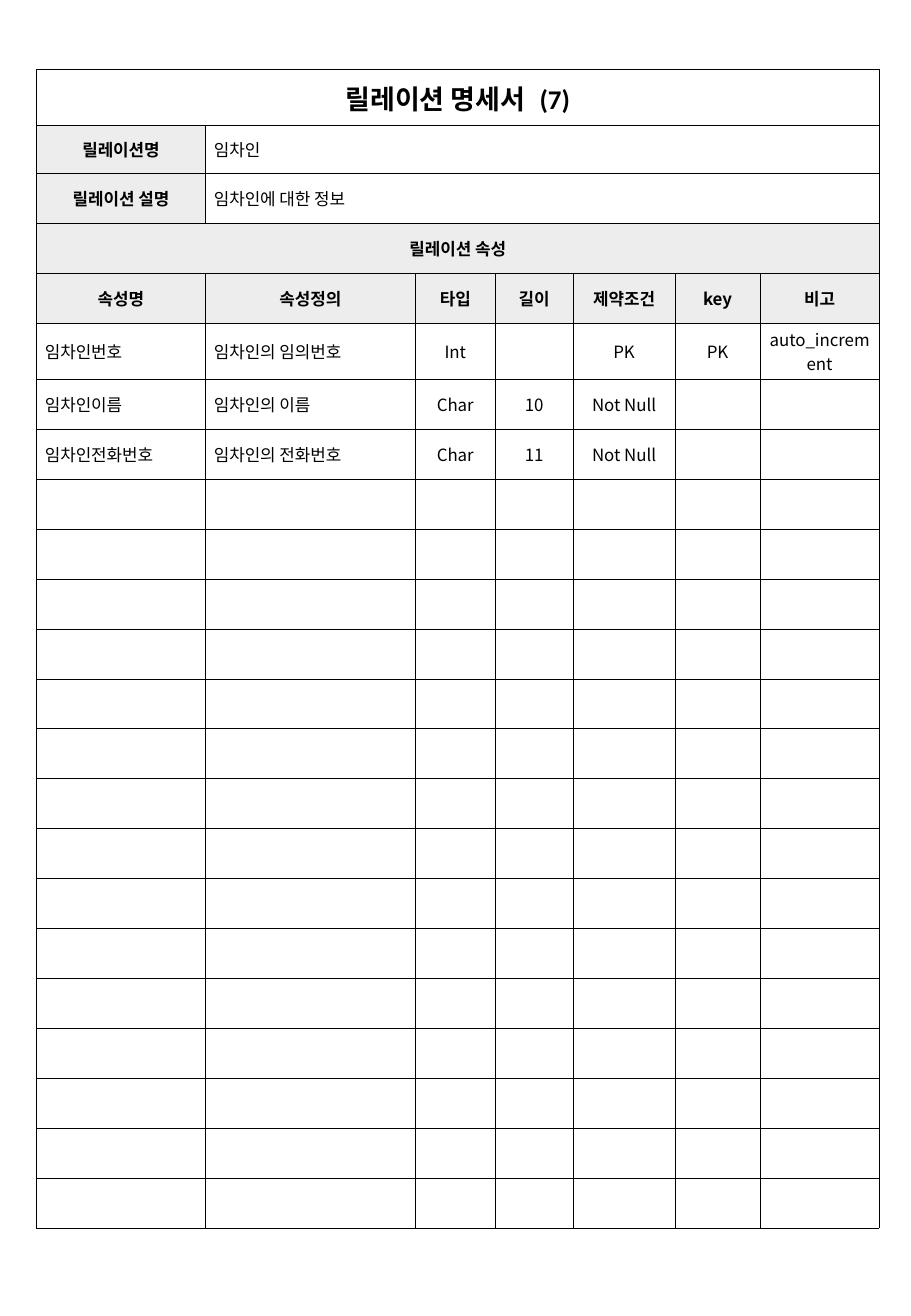
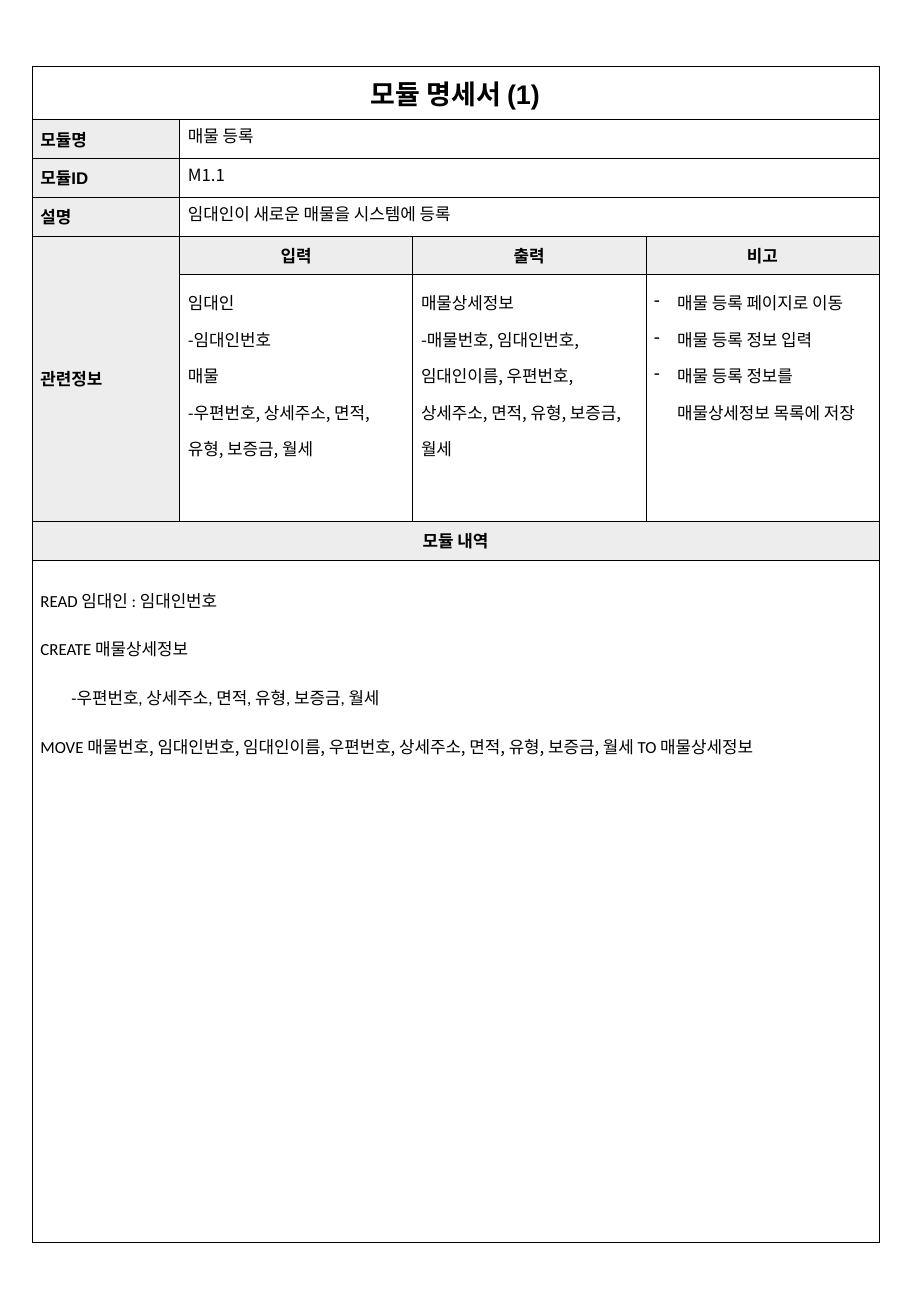
import dataclasses

import lxml.etree
import pptx
import pptx.dml.color
import pptx.enum.text
import pptx.oxml.ns
import pptx.util

Align = pptx.enum.text.PP_ALIGN
Anchor = pptx.enum.text.MSO_ANCHOR
qn = pptx.oxml.ns.qn
UNIT = 2540  # EMU in one px


@dataclasses.dataclass(frozen=True)
class Theme:
    ink: str = "000000"
    paper: str = "FFFFFF"
    shade: str = "EDEDED"
    hangul: str = "Noto Sans CJK KR"
    latin: str = "Calibri"
    label: str = "Arial"
    title: int = 16
    body: int = 10
    rule: float = 0.25
    side: int = 25
    edge: int = 11


THEME = Theme()


@dataclasses.dataclass(frozen=True)
class Style:
    font: str = THEME.hangul
    size: int = THEME.body
    bold: bool = False
    fill: str = THEME.paper
    align: Align = Align.LEFT
    anchor: Anchor = Anchor.MIDDLE
    lead: float = 1.0


PLAIN = Style()
MID = Style(align=Align.CENTER)
HEAD = Style(bold=True, fill=THEME.shade, align=Align.CENTER)
TOP = Style(anchor=Anchor.TOP)
NOTE = dataclasses.replace(TOP, lead=1.5)
CODE = dataclasses.replace(TOP, font=THEME.latin, lead=2.0)
SIDE = Style(font=THEME.label, bold=True, fill=THEME.shade)
BAND = dataclasses.replace(SIDE, align=Align.CENTER)
TITLE = Style(font=THEME.latin, size=THEME.title, bold=True, align=Align.CENTER)


@dataclasses.dataclass(frozen=True)
class Run:
    text: str
    font: str = ""
    gap: int = 0


@dataclasses.dataclass(frozen=True)
class Para:
    runs: tuple
    left: int = 0
    mark: str = ""


def px(count):
    return pptx.util.Emu(count * UNIT)


def rgb(code):
    return pptx.dml.color.RGBColor.from_string(code)


def node(parent, tag, **attrs):
    return lxml.etree.SubElement(parent, qn(tag), attrs)


def assign(target, values):
    for name, value in values.items():
        setattr(target, name, value)


def frame(cell, fill):
    """Rule all four sides of a cell, then fill it."""
    props = cell._tc.get_or_add_tcPr()
    for tag in ("a:lnL", "a:lnR", "a:lnT", "a:lnB"):
        line = node(props, tag, w=str(pptx.util.Pt(THEME.rule)))
        node(node(line, "a:solidFill"), "a:srgbClr", val=THEME.ink)
    cell.fill.solid()
    cell.fill.fore_color.rgb = rgb(fill)


def grid(slide, box, cols, rows):
    """Add an empty ruled table with its top left corner at box."""
    left, top = box
    area = (left, top, sum(cols), sum(rows))
    shape = slide.shapes.add_table(len(rows), len(cols), *map(px, area))
    table = shape.table
    assign(table, {"first_row": False, "horz_banding": False})
    for col, width in zip(table.columns, cols):
        col.width = px(width)
    for row, height in zip(table.rows, rows):
        row.height = px(height)
    for cell in table.iter_cells():
        assign(cell, {
            "margin_left": px(THEME.side), "margin_right": px(THEME.side),
            "margin_top": px(THEME.edge), "margin_bottom": px(THEME.edge),
        })
        frame(cell, THEME.paper)
        para = cell.text_frame.paragraphs[0]._p
        node(para, "a:endParaRPr", sz=str(THEME.body * 100))
    return table


def write(para, run, style):
    part = para.add_run()
    part.text = run.text
    part.font.color.rgb = rgb(THEME.ink)
    assign(part.font, {
        "size": pptx.util.Pt(style.size),
        "bold": style.bold,
        "name": run.font or style.font,
    })
    props = part._r.get_or_add_rPr()
    node(props, "a:ea", typeface=THEME.hangul)
    if run.gap:
        props.set("spc", str(run.gap * 100))


def put(cell, items, style=PLAIN, span=(1, 1), table=None):
    """Fill a cell with a string or a list of strings and paragraphs."""
    if span != (1, 1):
        row, col = span
        cell.merge(table.cell(row, col))
    cell.fill.fore_color.rgb = rgb(style.fill)
    cell.vertical_anchor = style.anchor
    body = cell.text_frame
    for index, item in enumerate([items] if isinstance(items, str) else items):
        if isinstance(item, str):
            item = Para((Run(item),))
        para = body.add_paragraph() if index else body.paragraphs[0]
        props = para._p.get_or_add_pPr()
        if item.left:
            props.set("marL", str(px(item.left)))
            props.set("indent", str(px(-item.left if item.mark else 0)))
        if item.mark:
            node(props, "a:buChar", char=item.mark)
        assign(para, {"alignment": style.align, "line_spacing": style.lead})
        for run in item.runs:
            write(para, run, style)


def relation(slide, box, title, facts, heads, fields, blank):
    cols = (501, 622, 237, 231, 302, 252, 353)
    rows = [166, 142] + [148] * (len(facts) + 1 + len(fields) + blank)
    table = grid(slide, box, cols, rows)
    last = len(cols) - 1
    put(table.cell(0, 0), title, TITLE, (0, last), table)
    for row, (name, value) in enumerate(facts, 1):
        put(table.cell(row, 0), name, HEAD)
        put(table.cell(row, 1), value, PLAIN, (row, last), table)
    row = len(facts) + 1
    put(table.cell(row, 0), "릴레이션 속성", HEAD, (row, last), table)
    for col, head in enumerate(heads):
        put(table.cell(row + 1, col), head, HEAD)
    for line, field in enumerate(fields, row + 2):
        for col, value in enumerate(field):
            if value:
                put(table.cell(line, col), value, PLAIN if col < 2 else MID)


def module(slide, box, title, facts, parts, steps):
    cols = (437, 691, 691, 691)
    rows = (157, 115, 115, 115, 115, 731, 115, 2023)
    table = grid(slide, box, cols, rows)
    last = len(cols) - 1
    style = dataclasses.replace(TITLE, font=THEME.label)
    put(table.cell(0, 0), title, style, (0, last), table)
    for row, (name, value) in enumerate(facts, 1):
        put(table.cell(row, 0), name, SIDE)
        put(table.cell(row, 1), value, TOP, (row, last), table)
    row = len(facts) + 1
    put(table.cell(row, 0), "관련정보", SIDE, (row + 1, 0), table)
    for col, (head, notes) in enumerate(parts, 1):
        put(table.cell(row, col), head, BAND)
        put(table.cell(row + 1, col), notes, NOTE)
    put(table.cell(row + 2, 0), "모듈 내역", BAND, (row + 2, last), table)
    put(table.cell(row + 3, 0), steps, CODE, (row + 3, last), table)


def main():
    deck = pptx.Presentation()
    assign(deck, {"slide_width": px(2700), "slide_height": px(3900)})
    first, second = (deck.slides.add_slide(deck.slide_layouts[6]) for _ in range(2))

    relation(
        first, (108, 206),
        [Para((Run("릴레이션 명세서"), Run(" ", gap=5), Run("(7)")))],
        [("릴레이션명", "임차인"), ("릴레이션 설명", "임차인에 대한 정보")],
        ("속성명", "속성정의", "타입", "길이", "제약조건", "key", "비고"),
        [
            ("임차인번호", "임차인의 임의번호", "Int", "", "PK", "PK", "auto_increment"),
            ("임차인이름", "임차인의 이름", "Char", "10", "Not Null"),
            ("임차인전화번호", "임차인의 전화번호", "Char", "11", "Not Null"),
        ],
        blank=15,
    )

    address = "우편번호, 상세주소, 면적, 유형, 보증금, 월세"
    full = "매물번호, 임대인번호, 임대인이름, " + address
    tasks = ("매물 등록 페이지로 이동", "매물 등록 정보 입력",
             "매물 등록 정보를 매물상세정보 목록에 저장")
    module(
        second, (95, 197), "모듈 명세서 (1)",
        [("모듈명", "매물 등록"), ("모듈ID", "M1.1"),
         ("설명", "임대인이 새로운 매물을 시스템에 등록")],
        [
            ("입력", ["임대인", "-임대인번호", "매물", "-" + address]),
            ("출력", ["매물상세정보", "-" + full]),
            ("비고", [Para((Run(task),), 68, "-") for task in tasks]),
        ],
        [
            "READ 임대인 : 임대인번호",
            "CREATE 매물상세정보",
            Para((Run("-" + address),), 92),
            Para((Run("MOVE "), Run(full + " ", THEME.hangul), Run("TO 매물상세정보"))),
        ],
    )
    deck.save("out.pptx")


if __name__ == "__main__":
    main()
